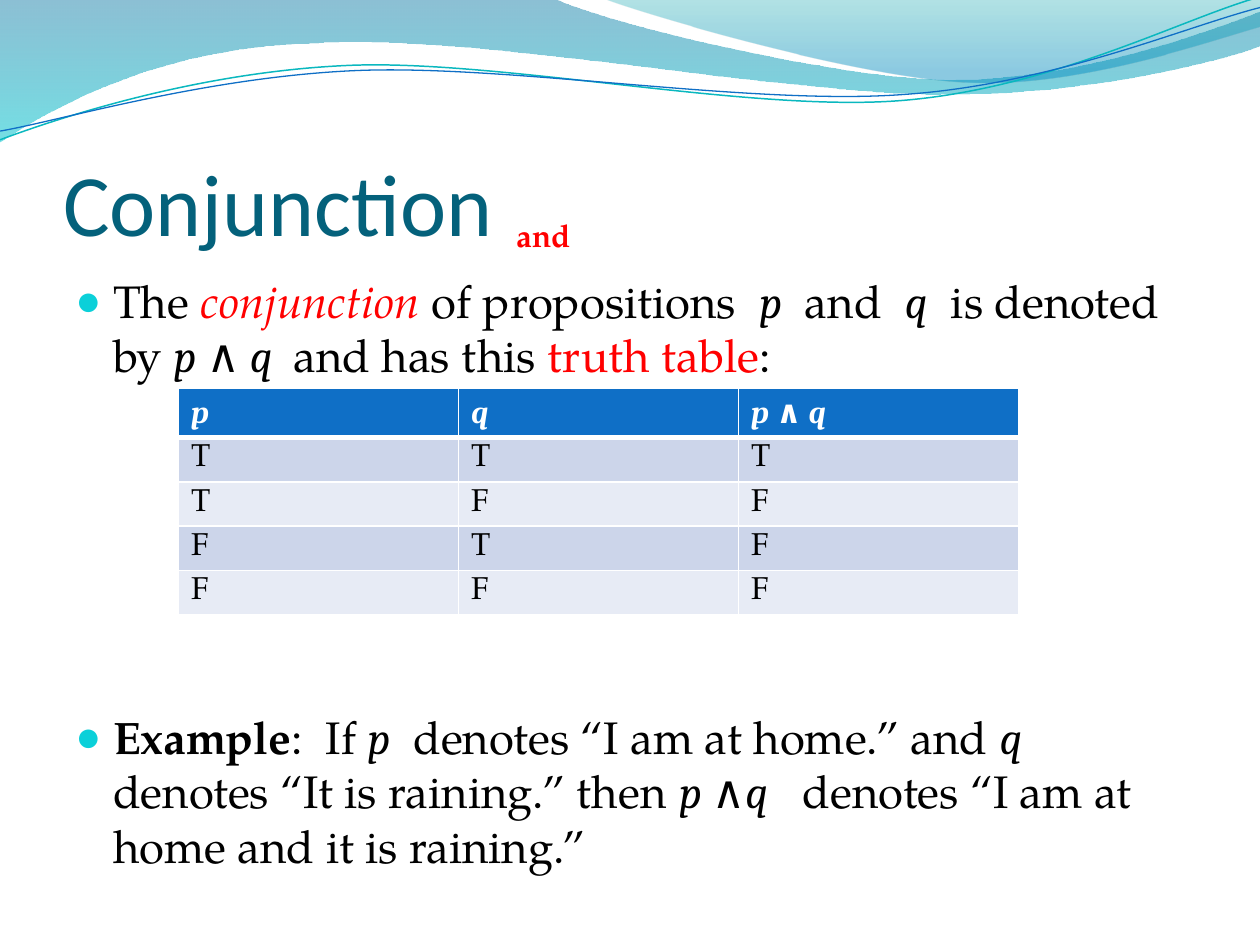
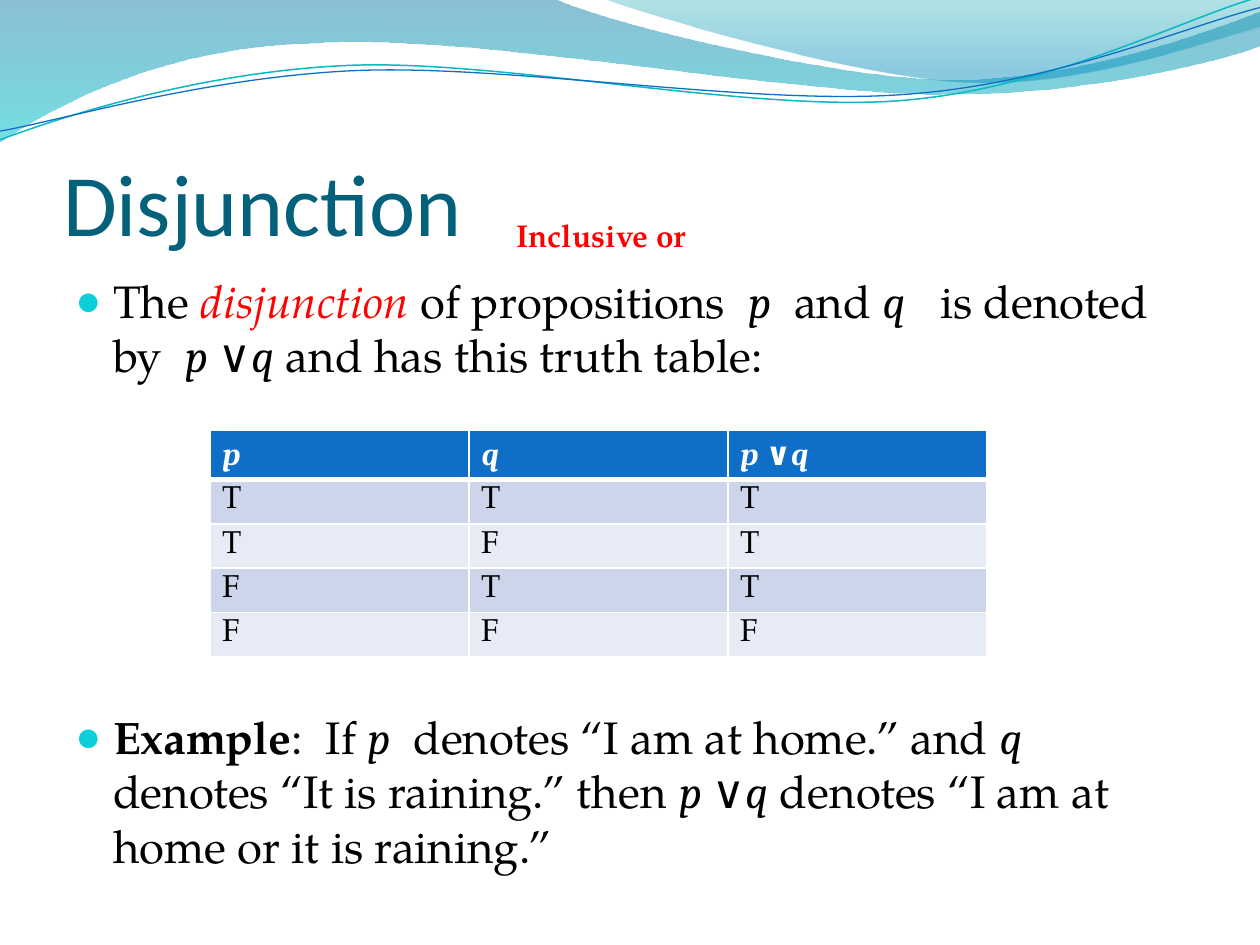
import dataclasses
import typing

import lxml.etree
import pptx
import pptx.dml.color
import pptx.enum.text
import pptx.oxml.ns
import pptx.shapes.autoshape
import pptx.slide
import pptx.util

Pt = pptx.util.Pt
RGBColor = pptx.dml.color.RGBColor
qn = pptx.oxml.ns.qn

WHITE = RGBColor(0xFF, 0xFF, 0xFF)
BLACK = RGBColor(0x00, 0x00, 0x00)
RED = RGBColor(0xFF, 0x00, 0x00)
TITLE_TEAL = RGBColor(0x04, 0x61, 0x7B)
BULLET_CYAN = RGBColor(0x0B, 0xD0, 0xD9)
HEADER_BLUE = RGBColor(0x0F, 0x6F, 0xC6)
LINE_TEAL = RGBColor(0x0A, 0xB8, 0xBF)
BAND_DARK = RGBColor(0xCC, 0xD5, 0xEA)
BAND_LIGHT = RGBColor(0xE7, 0xEB, 0xF5)
DEEP_BLUE = RGBColor(0x00, 0x74, 0xA1)
AQUA = RGBColor(0x00, 0xC6, 0xCF)
SEA_GREEN = RGBColor(0x00, 0xA1, 0xA9)
SKY_BLUE = RGBColor(0x00, 0x8B, 0xBF)

Format = dict[str, typing.Any]
SERIF = "TeX Gyre Pagella"
TITLE: Format = {"name": "Calibri", "size": Pt(50), "color": TITLE_TEAL}
PLAIN: Format = {"name": SERIF, "size": Pt(26), "bold": False, "italic": False, "color": BLACK}
STRONG: Format = PLAIN | {"bold": True}
ALERT: Format = PLAIN | {"color": RED}
TERM: Format = ALERT | {"italic": True}
SYMBOL: Format = PLAIN | {"name": "Cambria"}
VARIABLE: Format = SYMBOL | {"italic": True}
LABEL: Format = STRONG | {"size": Pt(18), "color": RED}
CELL: Format = PLAIN | {"size": Pt(18)}
HEADER: Format = {"size": Pt(18), "bold": True, "color": WHITE}

Point = tuple[float, float]
Segment = tuple[Point, ...]
LINE_SPACE = 5.2
EXAMPLE_SPACE = 186.8


class Span(typing.NamedTuple):
    text: str
    format: Format


class Stop(typing.NamedTuple):
    position: float
    color: RGBColor
    opacity: int


class Outline(typing.NamedTuple):
    color: RGBColor
    width: float


@dataclasses.dataclass(frozen=True)
class Wave:
    start: Point
    segments: tuple[Segment, ...]
    stops: tuple[Stop, ...] = ()
    outline: typing.Optional[Outline] = None


@dataclasses.dataclass(frozen=True)
class Topic:
    title: str
    label: str
    label_width: float
    body_height: float
    definition: list[Span]
    symbol: str
    header_symbol: str
    conclusion: str
    table_left: float
    table_top: float
    column_width: float
    results: str


WAVES = (
    Wave((0, 0), (
        ((316.8, -0.7),),
        ((342.7, 12.2), (478.1, 45.4), (545.8, 45.4)),
        ((614.2, 45.4), (689.8, 18.7), (720, 6.5)),
        ((720.7, 25.9),),
        ((707.8, 31.7), (626.4, 54.7), (537.1, 54)),
        ((447.8, 54), (275, 20.2), (185, 24.5)),
        ((92.9, 25.9), (33.1, 59.8), (-0.7, 81.4)),
    ), stops=(Stop(0, DEEP_BLUE, 45), Stop(1, AQUA, 55))),
    Wave((344.9, -0.7), (
        ((366.5, 7.9), (491, 44.6), (553.7, 46.8)),
        ((616.3, 49.7), (691.9, 23), (720, 15.1)),
        ((720, 0),),
    ), stops=(Stop(0, SEA_GREEN, 30), Stop(0.8, SKY_BLUE, 45))),
    Wave((0, 79.9), (
        ((34.6, 67), (113.8, 41), (199.4, 37.4)),
        ((284.4, 33.8), (427, 64.1), (513.4, 57.6)),
        ((599.8, 51.1), (675.4, 10.8), (718.6, -1.4)),
    ), outline=Outline(LINE_TEAL, 0.85)),
    Wave((0, 74.9), (
        ((33.8, 69.1), (118.1, 43.9), (203.8, 40.3)),
        ((290.2, 36.7), (429.8, 60.5), (516.2, 54)),
        ((601.9, 48.2), (677.5, 15.1), (720, 4.3)),
    ), outline=Outline(HEADER_BLUE, 0.75)),
)

TOPICS = (
    Topic("Conjunction", "and", 46.8, 345.6, [
        Span("The ", PLAIN), Span("conjunction", TERM),
        Span(" of propositions  ", PLAIN), Span("p", VARIABLE),
        Span("  and  ", PLAIN), Span("q", VARIABLE),
        Span("  is denoted by ", PLAIN), Span("p ", VARIABLE),
        Span("∧ ", SYMBOL), Span("q  ", VARIABLE),
        Span("and has this ", PLAIN), Span("truth table", ALERT), Span(":", PLAIN),
    ], "∧", "∧ ", "   denotes “I am at home and it is raining.”", 102, 222, 160, "TFFF"),
    Topic("Disjunction", "Inclusive or", 114.5, 369.4, [
        Span("The ", PLAIN), Span("disjunction", TERM),
        Span(" of propositions  ", PLAIN), Span("p", VARIABLE),
        Span("  and ", PLAIN), Span("q", VARIABLE),
        Span("   is denoted by  ", PLAIN), Span("p ", VARIABLE),
        Span("∨", SYMBOL), Span("q", VARIABLE),
        Span(" and has this truth table:", PLAIN),
    ], "∨", "∨", " denotes “I am at home or it is raining.”", 120, 246, 148, "TTTF"),
)


def fill_gradient(shape: pptx.shapes.autoshape.Shape, stops: tuple[Stop, ...]) -> None:
    shape.fill.gradient()
    shape.fill.gradient_angle = 270
    for target, stop in zip(shape.fill.gradient_stops, stops):
        target.position = stop.position
        target.color.rgb = stop.color
    for color, stop in zip(shape.element.spPr.iter(qn("a:srgbClr")), stops):
        lxml.etree.SubElement(color, qn("a:alpha"), val=str(stop.opacity * 1000))


def bend_segments(shape: pptx.shapes.autoshape.Shape, segments: tuple[Segment, ...]) -> None:
    lines = iter(list(shape.element.spPr.iter(qn("a:lnTo"))))
    for segment in segments:
        parts = [next(lines) for _ in segment]
        if len(parts) == 1:
            continue
        curve = lxml.etree.Element(qn("a:cubicBezTo"))
        parts[0].addprevious(curve)
        for part in parts:
            curve.append(part[0])
            part.getparent().remove(part)


def draw_wave(page: pptx.slide.Slide, wave: Wave) -> pptx.shapes.autoshape.Shape:
    builder = page.shapes.build_freeform(*map(Pt, wave.start))
    points = [(Pt(x), Pt(y)) for segment in wave.segments for x, y in segment]
    builder.add_line_segments(points, close=bool(wave.stops))
    shape = builder.convert_to_shape()
    bend_segments(shape, wave.segments)
    shape.shadow.inherit = False
    if wave.stops:
        fill_gradient(shape, wave.stops)
    else:
        shape.fill.background()
    if wave.outline:
        shape.line.color.rgb = wave.outline.color
        shape.line.width = Pt(wave.outline.width)
    else:
        shape.line.fill.background()
    return shape


def move_waves_to_layout(page: pptx.slide.Slide) -> None:
    layout = page.slide_layout
    for holder in list(layout.placeholders)[2:]:
        layout.shapes.element.remove(holder.element)
    for index, wave in enumerate(WAVES):
        layout.shapes.element.insert(2 + index, draw_wave(page, wave).element)


def set_attributes(target: typing.Any, values: Format) -> None:
    for name, value in values.items():
        setattr(target, name, value)


def add_spans(para: typing.Any, spans: list[Span]) -> None:
    for span in spans:
        run = para.add_run()
        run.text = span.text
        for name, value in span.format.items():
            if name == "color":
                run.font.color.rgb = value
            else:
                setattr(run.font, name, value)


def add_bullet(para: typing.Any, space_before: float) -> None:
    para.space_before = Pt(space_before)
    properties = para._p.get_or_add_pPr()
    properties.set("marL", str(Pt(21.6)))
    properties.set("indent", str(Pt(-21.6)))
    color = lxml.etree.SubElement(properties, qn("a:buClr"))
    lxml.etree.SubElement(color, qn("a:srgbClr"), val=str(BULLET_CYAN))
    lxml.etree.SubElement(properties, qn("a:buSzPct"), val="95000")
    lxml.etree.SubElement(properties, qn("a:buChar"), char="●")


def fill_title(page: pptx.slide.Slide, topic: Topic) -> None:
    title = page.shapes.title
    set_attributes(title, {"left": Pt(36), "top": Pt(55.4), "width": Pt(648), "height": Pt(90)})
    set_attributes(title.text_frame, {
        "margin_left": 0, "margin_top": Pt(3.6), "margin_right": 0, "margin_bottom": 0,
        "vertical_anchor": pptx.enum.text.MSO_ANCHOR.BOTTOM,
        "auto_size": pptx.enum.text.MSO_AUTO_SIZE.NONE,
    })
    para = title.text_frame.paragraphs[0]
    para.alignment = pptx.enum.text.PP_ALIGN.LEFT
    add_spans(para, [Span(topic.title, TITLE)])


def fill_body(page: pptx.slide.Slide, topic: Topic) -> None:
    body = page.placeholders[1]
    set_attributes(body, {"left": Pt(35.8), "top": Pt(152.3), "width": Pt(648),
                          "height": Pt(topic.body_height)})
    frame = body.text_frame
    frame.auto_size = pptx.enum.text.MSO_AUTO_SIZE.NONE
    example = [
        Span("Example", STRONG), Span(":  If ", PLAIN), Span("p", VARIABLE),
        Span("  denotes “I am at home.” and ", PLAIN), Span("q", VARIABLE),
        Span("  denotes “It is raining.” then ", PLAIN), Span("p ", VARIABLE),
        Span(topic.symbol, SYMBOL), Span("q", VARIABLE), Span(topic.conclusion, PLAIN),
    ]
    for para, spans, space in (
        (frame.paragraphs[0], topic.definition, LINE_SPACE),
        (frame.add_paragraph(), example, EXAMPLE_SPACE),
    ):
        add_bullet(para, space)
        add_spans(para, spans)


def add_bottom_border(cell: typing.Any, width: float) -> None:
    border = lxml.etree.Element(qn("a:lnB"), w=str(Pt(width)))
    fill = lxml.etree.SubElement(border, qn("a:solidFill"))
    lxml.etree.SubElement(fill, qn("a:srgbClr"), val=str(WHITE))
    cell._tc.get_or_add_tcPr().insert(0, border)


def add_truth_table(page: pptx.slide.Slide, topic: Topic) -> None:
    variable, symbol = VARIABLE | HEADER, SYMBOL | HEADER
    rows = [[
        [Span("p", variable)],
        [Span("q", variable)],
        [Span("p ", variable), Span(topic.header_symbol, symbol), Span("q", variable)],
    ]]
    for inputs, result in zip(("TT", "TF", "FT", "FF"), topic.results):
        rows.append([[Span(value, CELL)] for value in inputs + result])
    table = page.shapes.add_table(
        len(rows), 3, Pt(topic.table_left), Pt(topic.table_top),
        Pt(3 * topic.column_width), Pt(24 * len(rows))).table
    for row_index, row in enumerate(rows):
        band = BAND_DARK if row_index % 2 else BAND_LIGHT
        for column_index, spans in enumerate(row):
            cell = table.cell(row_index, column_index)
            cell.fill.solid()
            cell.fill.fore_color.rgb = band if row_index else HEADER_BLUE
            if row_index == 0:
                add_bottom_border(cell, 3)
            add_spans(cell.text_frame.paragraphs[0], spans)


def add_label(page: pptx.slide.Slide, topic: Topic) -> None:
    box = page.shapes.add_textbox(Pt(288), Pt(120.2), Pt(topic.label_width), Pt(28.8))
    box.text_frame.word_wrap = False
    box.text_frame.auto_size = pptx.enum.text.MSO_AUTO_SIZE.SHAPE_TO_FIT_TEXT
    add_spans(box.text_frame.paragraphs[0], [Span(topic.label, LABEL)])


def main() -> None:
    deck = pptx.Presentation()
    set_attributes(deck, {"slide_width": Pt(720), "slide_height": Pt(540)})
    pages = [deck.slides.add_slide(deck.slide_layouts[1]) for _ in TOPICS]
    move_waves_to_layout(pages[0])
    for page, topic in zip(pages, TOPICS):
        for draw in (fill_title, fill_body, add_truth_table, add_label):
            draw(page, topic)
    deck.save("out.pptx")


if __name__ == "__main__":
    main()
